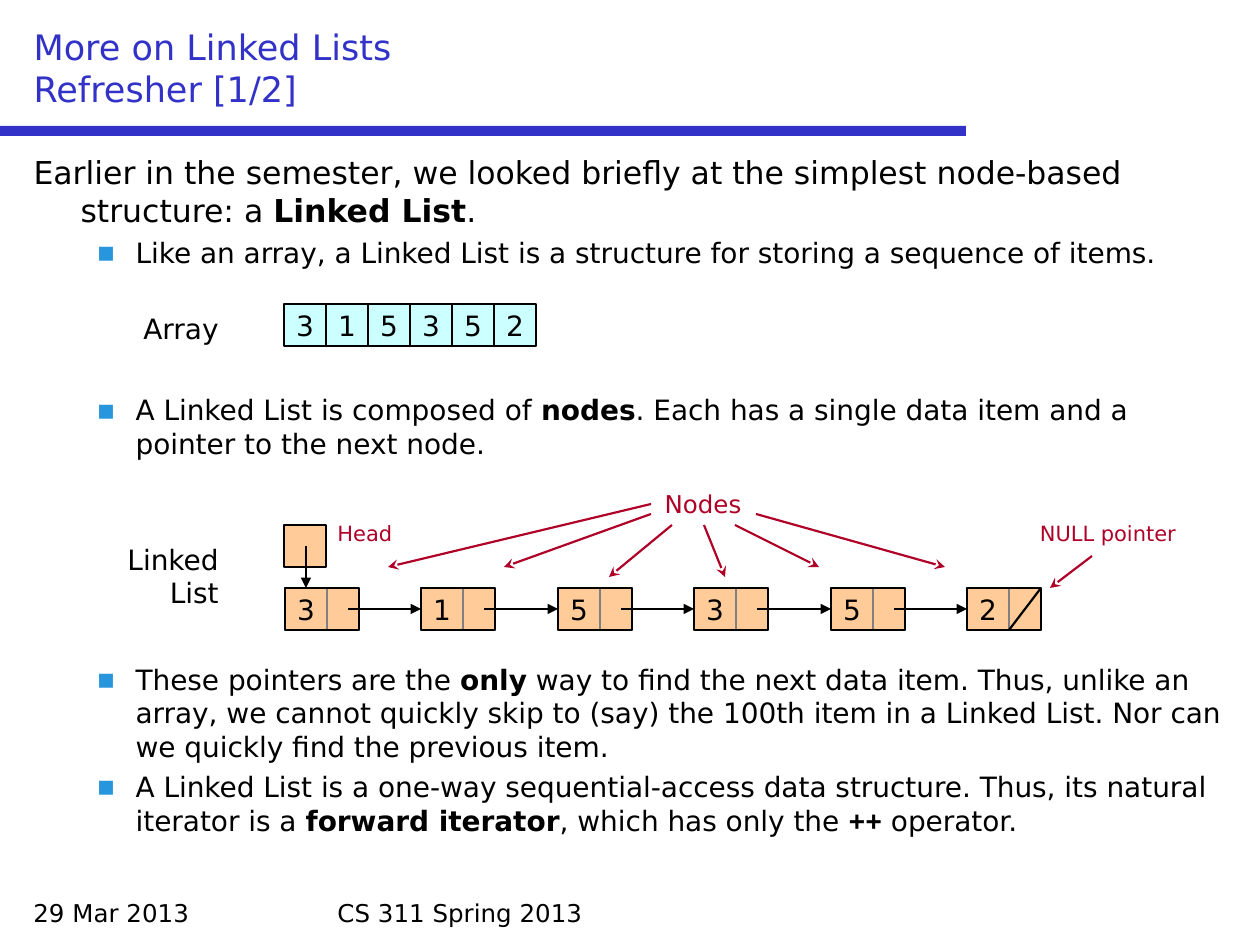
from pptx import Presentation
from pptx import util as u
from pptx.dml import color
from pptx.enum import shapes, text
from pptx.oxml import ns
from lxml import etree

SANS, CODE = "DejaVu Sans", "Courier New"
BLACK, BLUE, RED, GRAY = "000000", "3232C8", "AF0028", "808080"
PEACH, AQUA, SKY = "FFCC99", "CCFFFF", "2896DC"
LEFT, MID, RIGHT = text.PP_ALIGN.LEFT, text.PP_ALIGN.CENTER, text.PP_ALIGN.RIGHT


def px(n):
    return u.Emu(round(n * 914400 / 126))


def rgb(code):
    return color.RGBColor.from_string(code)


def node(root, tag, **attrs):
    return etree.SubElement(root, ns.qn("a:" + tag), attrs)


class Page:
    def __init__(self, slide):
        self.slide = slide
        self.items = slide.shapes

    def run(self, para, words, size, hue=BLACK, bold=False, face=SANS):
        run = para.add_run()
        run.text = words
        font = run.font
        font.size, font.name, font.bold = u.Pt(size), face, bold
        font.color.rgb = rgb(hue)

    def place(self, shape, x, y, w, h):
        shape.left, shape.top, shape.width, shape.height = map(px, (x, y, w, h))
        shape.text_frame.auto_size = text.MSO_AUTO_SIZE.NONE
        shape.text_frame.word_wrap = True
        return shape.text_frame

    def title(self, lines, box, size, hue):
        frame = self.place(self.items.title, *box)
        frame.vertical_anchor = text.MSO_ANCHOR.BOTTOM
        para = frame.paragraphs[0]
        para.alignment = LEFT
        for i, line in enumerate(lines):
            if i:
                para.add_line_break()
            self.run(para, line, size, hue)

    def body(self, rows, box):
        frame = self.place(self.slide.placeholders[1], *box)
        for i, (level, size, gap, runs) in enumerate(rows):
            para = frame.paragraphs[0] if i == 0 else frame.add_paragraph()
            para.level = level
            para.space_before = u.Pt(gap)
            props = para._p.get_or_add_pPr()
            inset, hang = ((47, 47), (102, 39))[level]
            props.set("marL", str(px(inset)))
            props.set("indent", str(-px(hang)))
            if level:
                node(node(props, "buClr"), "srgbClr", val=SKY)
                node(props, "buFont", typeface=SANS)
                node(props, "buChar", char="▪")
            else:
                node(props, "buNone")
            for words, *style in runs:
                face = style[0] if style else SANS
                self.run(para, words, size, bold=bool(style), face=face)

    def label(self, words, x, y, w, h, size, hue=BLACK, align=LEFT):
        shape = self.items.add_textbox(0, 0, 0, 0)
        para = self.place(shape, x, y, w, h).paragraphs[0]
        para.alignment = align
        self.run(para, words, size, hue)

    def box(self, x, y, w, h, fill=None, edge=BLACK, width=1.25, words=""):
        shape = self.items.add_shape(
            shapes.MSO_SHAPE.RECTANGLE, *map(px, (x, y, w, h)))
        shape.shadow.inherit = False
        if fill:
            shape.fill.solid()
            shape.fill.fore_color.rgb = rgb(fill)
        else:
            shape.fill.background()
        if edge:
            shape.line.color.rgb = rgb(edge)
            shape.line.width = u.Pt(width)
        else:
            shape.line.fill.background()
        if words:
            frame = shape.text_frame
            frame.word_wrap = False
            frame.vertical_anchor = text.MSO_ANCHOR.MIDDLE
            frame.paragraphs[0].alignment = MID
            self.run(frame.paragraphs[0], words, 16)

    def line(self, x1, y1, x2, y2, hue=BLACK, head=None):
        link = self.items.add_connector(
            shapes.MSO_CONNECTOR.STRAIGHT, *map(px, (x1, y1, x2, y2)))
        link.line.color.rgb = rgb(hue)
        link.line.width = u.Pt(1.25)
        if head:
            node(link.line._get_or_add_ln(), "tailEnd", type=head)
        node(link._element.spPr, "effectLst")


deck = Presentation()
deck.slide_width, deck.slide_height = px(1260), px(945)
page = Page(deck.slides.add_slide(deck.slide_layouts[1]))

page.box(0, 126, 966, 10, BLUE, None)
page.title(["More on Linked Lists", "Refresher [1/2]"], (21, 21, 1218, 95), 20, BLUE)
page.body([
    (0, 18, 4.2, [
        ("Earlier in the semester, we looked briefly at the simplest "
         "node-based structure: a ",), ("Linked List", SANS), (".",)]),
    (1, 16, 3.7, [
        ("Like an array, a Linked List is a structure for storing "
         "a sequence of items.",)]),
    (1, 16, 70.8, [
        ("A Linked List is composed of ",), ("nodes", SANS),
        (". Each has a single data item and a pointer to the next node.",)]),
    (1, 16, 115.5, [
        ("These pointers are the ",), ("only", SANS),
        (" way to find the next data item. Thus, unlike an array, we cannot "
         "quickly skip to (say) the 100th item in a Linked List. Nor can we "
         "quickly find the previous item.",)]),
    (1, 16, 3.7, [
        ("A Linked List is a one-way sequential-access data structure. Thus, "
         "its natural iterator is a ",), ("forward iterator", SANS),
        (", which has only the ",), ("++", CODE), (" operator.",)]),
], (21, 147, 1218, 735))

page.label("29 Mar 2013", 21, 892, 294, 42, 14)
page.label("CS 311 Spring 2013", 325, 892, 609, 42, 14)

values = "315352"
cell, tail, top = 42, 32, 588
starts = [285 + i * 273 // 2 for i in range(len(values))]
for i, (digit, x) in enumerate(zip(values, starts)):
    page.box(284 + i * cell, 304, cell, cell, AQUA, words=digit)
    page.box(x, top, cell, cell, PEACH, GRAY, 0.75, digit)
    page.box(x + cell, top, tail, cell, PEACH, GRAY, 0.75)
    page.box(x, top, cell + tail, cell)
for x, goal in zip(starts, starts[1:]):
    page.line(x + 63, 609, goal, 609, head="triangle")
last = starts[-1] + cell
page.line(last, top + cell, last + tail, top)

page.box(284, 525, cell, cell, PEACH)
page.line(306, 546, 306, top, head="triangle")

page.label("Array", 95, 305, 136, 47, 16, align=RIGHT)
page.label("Linked List", 95, 536, 136, 81, 16, align=RIGHT)
page.label("Head", 325, 514, 116, 38, 12, RED)
page.label("NULL pointer", 987, 514, 242, 38, 12, RED, MID)
page.label("Nodes", 640, 483, 126, 43, 14, RED, MID)

for ends in [
    (651, 504, 388, 567), (651, 514, 504, 567), (672, 525, 609, 577),
    (704, 525, 725, 577), (735, 525, 819, 567), (756, 514, 945, 567),
    (1092, 556, 1050, 588),
]:
    page.line(*ends, hue=RED, head="stealth")

deck.save("out.pptx")
